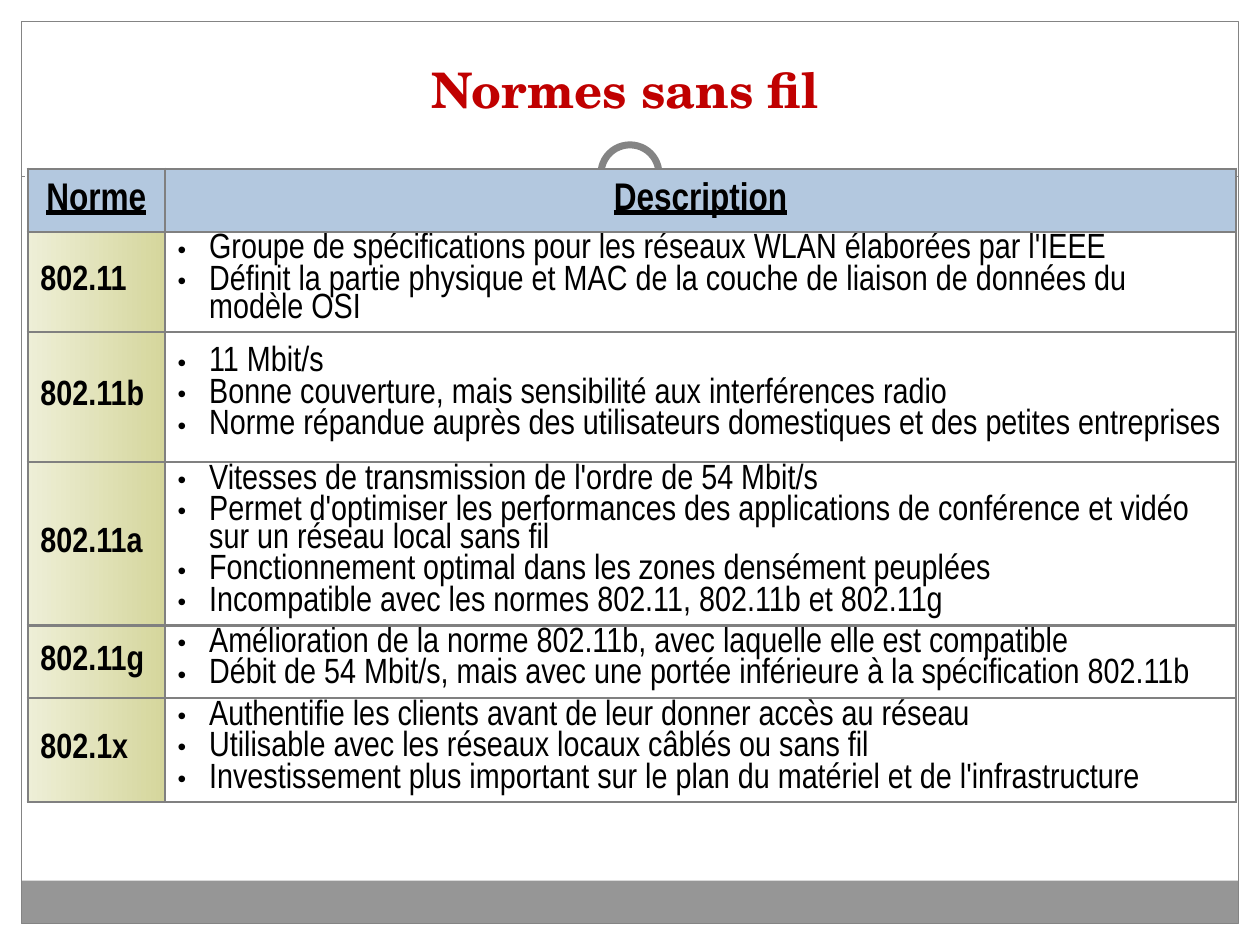
from lxml import etree
from pptx import Presentation
from pptx.dml.color import RGBColor
from pptx.enum.dml import MSO_LINE
from pptx.enum.shapes import MSO_CONNECTOR, MSO_SHAPE
from pptx.enum.text import MSO_ANCHOR, PP_ALIGN
from pptx.oxml.ns import qn
from pptx.util import Inches, Pt

RECT, OVAL = MSO_SHAPE.RECTANGLE, MSO_SHAPE.OVAL
CENTER, LEFT = PP_ALIGN.CENTER, PP_ALIGN.LEFT
MIDDLE, BOTTOM = MSO_ANCHOR.MIDDLE, MSO_ANCHOR.BOTTOM
DASH = MSO_LINE.SQUARE_DOT

COLORS = {
    "white": "FFFFFF", "black": "000000", "title": "C00000", "frame": "848484",
    "footer": "969696", "border": "808080", "header": "B3C8DF",
    "norm_start": "EEEFD7", "norm_end": "D5D69C",
}
TITLE = "Normes sans fil"
TITLE_FONT, TABLE_FONT = "TeX Gyre Schola", "Arial Narrow"
HEADERS = ("Norme", "Description")
# norm, row height, description points
NORMS = [
    ("802.11", 0.79, [
        "Groupe de spécifications pour les réseaux WLAN élaborées par l'IEEE",
        "Définit la partie physique et MAC de la couche de liaison de données du \nmodèle OSI",
    ]),
    ("802.11b", 1.03, [
        "11 Mbit/s",
        "Bonne couverture, mais sensibilité aux interférences radio",
        "Norme répandue auprès des utilisateurs domestiques et des petites entreprises",
    ]),
    ("802.11a", 1.3, [
        "Vitesses de transmission de l'ordre de 54 Mbit/s",
        "Permet d'optimiser les performances des applications de conférence et vidéo "
        "sur un réseau local sans fil",
        "Fonctionnement optimal dans les zones densément peuplées",
        "Incompatible avec les normes 802.11, 802.11b et 802.11g",
    ]),
    ("802.11g", 0.57, [
        "Amélioration de la norme 802.11b, avec laquelle elle est compatible",
        "Débit de 54 Mbit/s, mais avec une portée inférieure à la spécification 802.11b",
    ]),
    ("802.1x", 0.83, [
        "Authentifie les clients avant de leur donner accès au réseau",
        "Utilisable avec les réseaux locaux câblés ou sans fil",
        "Investissement plus important sur le plan du matériel et de l'infrastructure",
    ]),
]

WIDTH, HEIGHT = 10, 7.5
MARGIN = 0.17
INNER = WIDTH - 2 * MARGIN
RULE_Y = 1.4
FOOTER_H = 0.34
TABLE_LEFT, TABLE_TOP = 0.22, 1.34
COLUMNS = (1.09, 8.5)
HEADER_H = 0.5
POINT_LEADING = Pt(16)


def rgb(name):
    return RGBColor.from_string(COLORS[name])


def add_panel(slide, kind, box, fill=None, line=None, weight=0.75):
    panel = slide.shapes.add_shape(kind, *map(Inches, box))
    panel.shadow.inherit = False
    if fill:
        panel.fill.solid()
        panel.fill.fore_color.rgb = rgb(fill)
    else:
        panel.fill.background()
    if line:
        panel.line.color.rgb = rgb(line)
        panel.line.width = Pt(weight)
    else:
        panel.line.fill.background()


def add_ring(slide, size, **style):
    """Circle centred on the rule under the title."""
    box = (WIDTH / 2 - size / 2, RULE_Y - 0.02 - size / 2, size, size)
    add_panel(slide, OVAL, box, "white", **style)


def add_backdrop(slide):
    add_panel(slide, RECT, (0, 0, WIDTH, 1.52), "white")
    for left in (0, WIDTH - MARGIN):
        add_panel(slide, RECT, (left, 0, MARGIN, HEIGHT), "white")
    bottom = HEIGHT - MARGIN
    add_panel(slide, RECT, (MARGIN, bottom - FOOTER_H, INNER, FOOTER_H), "footer")
    add_panel(slide, RECT, (MARGIN, MARGIN, INNER, HEIGHT - 2 * MARGIN), line="frame")
    rule = slide.shapes.add_connector(
        MSO_CONNECTOR.STRAIGHT, Inches(MARGIN), Inches(RULE_Y),
        Inches(WIDTH - MARGIN), Inches(RULE_Y))
    rule.line.color.rgb = rgb("frame")
    rule.line.width = Pt(0.75)
    rule.line.dash_style = DASH
    etree.SubElement(rule._element.spPr, qn("a:effectLst"))
    add_ring(slide, 0.67)
    add_ring(slide, 0.46, line="frame", weight=4)


def style_font(font, name, size, color, bold=False, underline=False):
    font.name, font.size = name, Pt(size)
    font.bold, font.underline = bold, underline
    font.color.rgb = rgb(color)


def set_hanging(paragraph, indent, bullet=None):
    props = paragraph._p.get_or_add_pPr()
    props.set("marL", str(Inches(indent)))
    props.set("indent", str(-Inches(indent)))
    if bullet:
        etree.SubElement(props, qn("a:buSzPct")).set("val", "70000")
        etree.SubElement(props, qn("a:buFont")).set("typeface", "Arial")
        etree.SubElement(props, qn("a:buChar")).set("char", bullet)


def fill_cell(cell, texts, size, spacing, align=LEFT, indent=0, bullet=None,
              bold=False, underline=False):
    cell.vertical_anchor = MIDDLE
    frame = cell.text_frame
    for i, text in enumerate(texts):
        paragraph = frame.add_paragraph() if i else frame.paragraphs[0]
        paragraph.alignment = align
        paragraph.line_spacing = spacing
        paragraph.space_before = Pt(2 if i else 0)
        set_hanging(paragraph, indent, bullet)
        for j, part in enumerate(text.split("\n")):
            if j:
                paragraph.add_line_break()
            run = paragraph.add_run()
            run.text = part
            style_font(run.font, TABLE_FONT, size, "black", bold, underline)


def color_cell(cell, *names):
    """Solid fill for one colour, left-to-right gradient for two."""
    if len(names) == 1:
        cell.fill.solid()
        cell.fill.fore_color.rgb = rgb(names[0])
    else:
        cell.fill.gradient()
        cell.fill.gradient_angle = 0
        for stop, name, position in zip(cell.fill.gradient_stops, names, (0, 1)):
            stop.color.rgb = rgb(name)
            stop.position = position


def add_borders(cell):
    props = cell._tc.get_or_add_tcPr()
    for i, side in enumerate(("lnL", "lnR", "lnT", "lnB")):
        border = etree.Element(qn(f"a:{side}"), w=str(Pt(1.5)))
        fill = etree.SubElement(border, qn("a:solidFill"))
        etree.SubElement(fill, qn("a:srgbClr")).set("val", COLORS["border"])
        props.insert(i, border)


def add_title(slide):
    box = slide.shapes.add_textbox(Inches(0.92), Inches(0.24), Inches(8.08), Inches(0.75))
    frame = box.text_frame
    frame.word_wrap = True
    frame.vertical_anchor = BOTTOM
    frame.paragraphs[0].alignment = CENTER
    run = frame.paragraphs[0].add_run()
    run.text = TITLE
    style_font(run.font, TITLE_FONT, 28, "title", bold=True)


def add_norms(slide):
    heights = [HEADER_H] + [height for _, height, _ in NORMS]
    table = slide.shapes.add_table(
        len(heights), len(COLUMNS), Inches(TABLE_LEFT), Inches(TABLE_TOP),
        Inches(sum(COLUMNS)), Inches(sum(heights))).table
    table.first_row = table.horz_banding = False
    for column, width in zip(table.columns, COLUMNS):
        column.width = Inches(width)
    for row, height in zip(table.rows, heights):
        row.height = Inches(height)
    for i, header in enumerate(HEADERS):
        cell = table.cell(0, i)
        fill_cell(cell, [header], 22, 0.9, CENTER, bold=True, underline=True)
        color_cell(cell, "header")
    for r, (norm, _, points) in enumerate(NORMS, 1):
        norm_cell, points_cell = table.cell(r, 0), table.cell(r, 1)
        fill_cell(norm_cell, [norm], 20, 0.9, indent=0.19, bold=True)
        color_cell(norm_cell, "norm_start", "norm_end")
        fill_cell(points_cell, points, 20, POINT_LEADING, indent=0.25, bullet="•")
        color_cell(points_cell, "white")
    for cell in table.iter_cells():
        add_borders(cell)


def main():
    deck = Presentation()
    deck.slide_width, deck.slide_height = Inches(WIDTH), Inches(HEIGHT)
    slide = deck.slides.add_slide(deck.slide_layouts[6])
    add_backdrop(slide)
    add_title(slide)
    add_norms(slide)
    deck.save("out.pptx")


if __name__ == "__main__":
    main()
